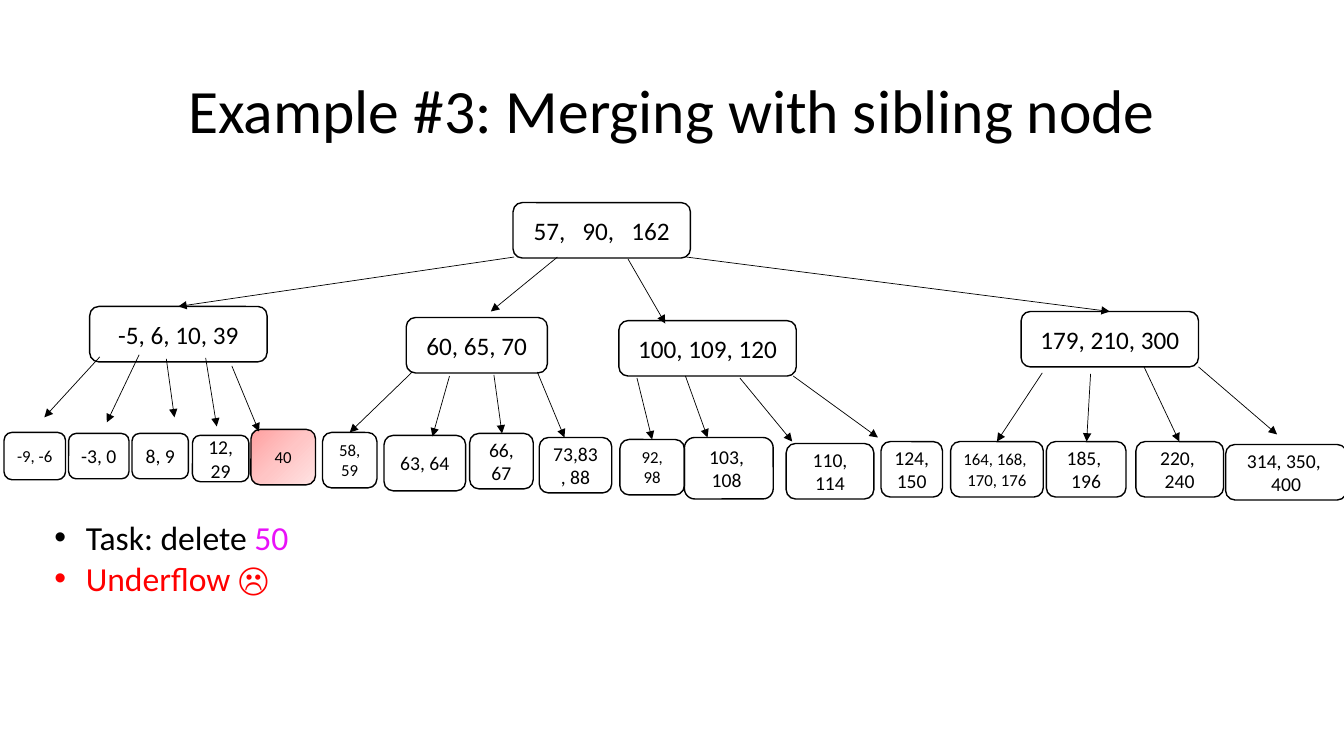
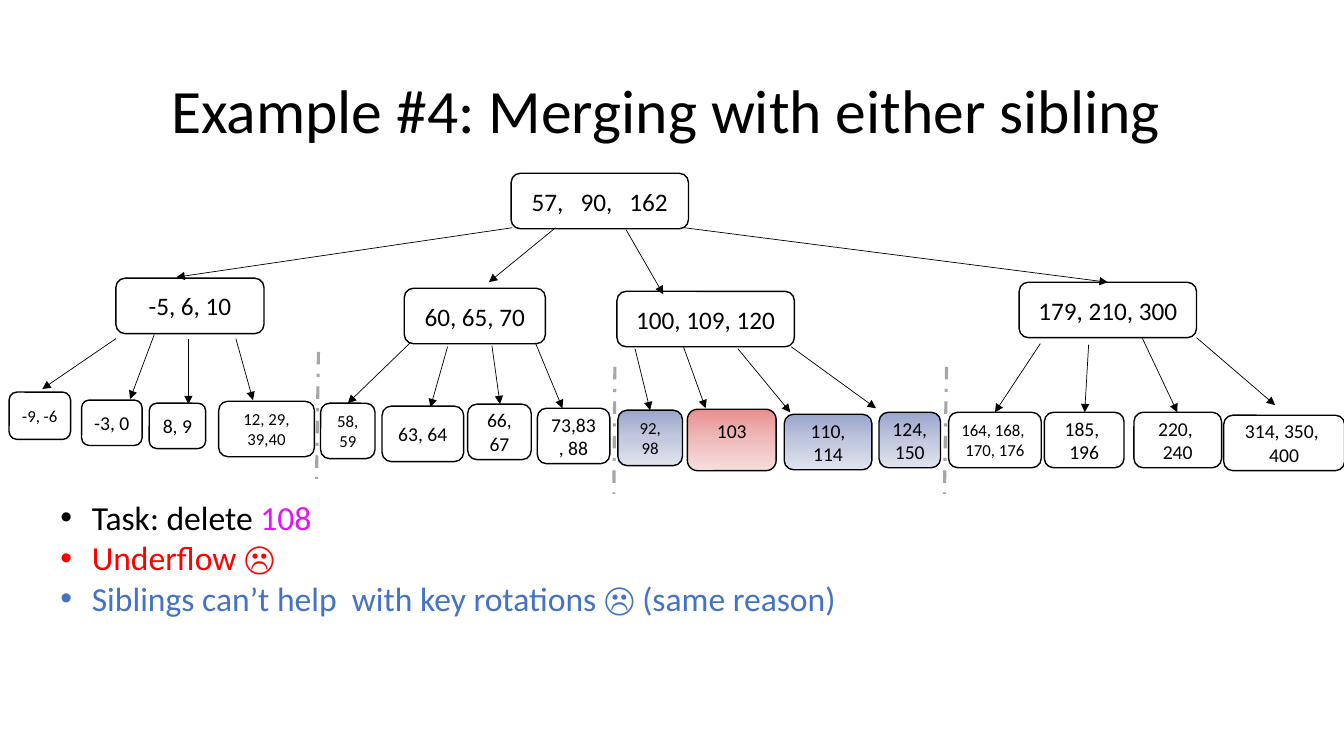
from pptx import Presentation
from pptx.dml.color import RGBColor
from pptx.enum.dml import MSO_LINE
from pptx.enum.shapes import MSO_CONNECTOR, MSO_SHAPE
from pptx.enum.text import MSO_ANCHOR as Anchor, PP_ALIGN as Align
from pptx.oxml import parse_xml
from pptx.oxml.ns import nsdecls, qn
from pptx.util import Pt

FONT = "Calibri"
BLACK, MAGENTA, RED, BLUE, GRAY = "000000", "E911F9", "FF0000", "4472C4", "A6A6A6"
NODE_HEIGHT = 39.6
INDENT = 22.5

# Gradients: angle in degrees, then evenly spaced colours
PINK = (45, ("FFA0A0", "FFC5C5", "FFE3E3"))
ROSE = (90, ("E98F8F", "EFBCBC", "F7DEDE"))
LAVENDER = (90, ("99A5CC", "C2C8DE", "E1E4EE"))

# Nodes: keys, left, top, width, text size, height (optional)
SHARED_NODES = [
    ("57,   90,   162", 366.5, 144.7, 126.7, 18),
    ("60, 65, 70", 290.2, 226.8, 100.8, 18),
    ("100, 109, 120", 442.1, 229, 126.7, 18),
    ("179, 210, 300", 729.4, 222.5, 126.7, 18),
    ("58, 59", 230.4, 308.9, 38.9, 12),
    ("63, 64", 274.3, 311, 58.3, 14),
    ("66, 67", 335.5, 309.6, 45.4, 14),
    ("73,83, 88", 385.2, 312.5, 51.8, 14),
    ("92, 98", 442.8, 313.9, 46.1, 12),
    ("110, 114", 561.6, 316.8, 62.6, 14),
    ("124, 150", 629.3, 315.4, 43.9, 14),
    ("164, 168, \n170, 176", 679, 315.4, 66.2, 12),
    ("185, \n196", 747.4, 315.4, 56.9, 14),
    ("220, \n240", 811.4, 315.4, 62.6, 14),
    ("314, 350, \n400", 875.5, 317.5, 86.4, 14),
]

# Arrows: from x, from y, to x, to y
SHARED_ARROWS = [
    # from the root
    (367.2, 183.6, 127.4, 218.9), (398.2, 183.6, 350.6, 222.5),
    (448.6, 185, 475.2, 231.1), (490.3, 183.6, 792.7, 222.5),
    # from 60, 65, 70
    (294.5, 265.7, 249.8, 308.9), (321.1, 268.6, 308.9, 311.8),
    (352.8, 267.8, 358.6, 309.6), (383.8, 265.7, 403.2, 312.5),
    # from 100, 109, 120
    (455, 270, 465.8, 313.9), (489.6, 268.6, 505.4, 312.5),
    (528.5, 270, 565.9, 315.4), (566.6, 268.6, 627.1, 312.5),
    # from 179, 210, 300
    (744.5, 266.4, 712.1, 315.4), (779, 267.1, 776.2, 315.4),
    (817.2, 262.1, 842.4, 315.4), (856.1, 262.1, 912.2, 310.3),
]

SLIDES = [
    {
        "title": "Example #3: Merging with sibling node",
        "title_box": (66.2, 28.8, 828, 104.4),
        "shift": (0, 0),
        "nodes": [
            ("-5, 6, 10, 39", 64.1, 218.9, 126.7, 18),
            ("-9, -6", 2.9, 308.9, 43.9, 12, 33.8),
            ("-3, 0", 49, 309.6, 43.2, 14, 32.4),
            ("8, 9", 94.3, 309.6, 40.3, 14, 32.4),
            ("12, 29", 137.5, 311, 40.3, 14, 33.1),
            ("40", 179.3, 306.7, 46.1, 12),
            ("103, \n108 ", 488.9, 312.5, 63.4, 14, 43.9),
        ],
        "arrows": [
            (71.3, 254.9, 31.7, 298.1), (99.4, 253.4, 76.3, 301.7),
            (118.8, 256.3, 124.6, 298.1), (146.9, 255.6, 154.8, 304.6),
            (165.6, 261.4, 185, 308.2),
        ],
        "fills": {"40": PINK},
        "top_anchored": (),
        "separators": [],
        "bullets_box": (31.7, 365.8, 795.6, 65.5),
        "bullets": [
            [("Task: delete ", BLACK), ("50", MAGENTA)],
            [("Underflow ☹", RED)],
        ],
    },
    {
        "title": "Example #4: Merging with either sibling",
        "title_box": (21.6, 28.8, 908.6, 104.4),
        "shift": (-1.4, -20.9),
        "nodes": [
            ("-5, 6, 10", 82.8, 198.7, 105.8, 18),
            ("-9, -6", 6.5, 280.1, 43.9, 12, 33.8),
            ("-3, 0", 58.3, 285.8, 43.2, 14, 32.4),
            ("8, 9", 106.6, 288, 40.3, 14, 32.4),
            ("12, 29, 39,40", 156.2, 286.6, 68.4, 12),
            ("103", 491, 292.3, 63.4, 14, 43.9),
        ],
        "arrows": [
            (82.8, 241.9, 30.2, 277.9), (110.2, 239, 92.9, 285.1),
            (134.6, 241.9, 134.6, 288.7), (168.5, 241.9, 180.7, 285.8),
        ],
        "fills": {"103": ROSE, "92, 98": LAVENDER, "110, 114": LAVENDER,
                  "124, 150": LAVENDER},
        "top_anchored": ("103",),
        "separators": [
            (227.5, 251.3, 226.1, 342), (439.2, 262.1, 438.5, 352.8),
            (676.1, 262.1, 674.6, 352.8),
        ],
        "bullets_box": (36, 351.4, 864, 123.8),
        "bullets": [
            [("Task: delete ", BLACK), ("108", MAGENTA)],
            [("Underflow ☹", RED)],
            [("Siblings can’t help  with key rotations ☹ (same reason)", BLUE)],
        ],
    },
]


def color(hex_value):
    return RGBColor.from_string(hex_value)


def set_attributes(target, **values):
    for name, value in values.items():
        setattr(target, name, value)


def add_run(paragraph, text, size, hex_value=BLACK):
    run = paragraph.add_run()
    run.text = text
    set_attributes(run.font, name=FONT, size=Pt(size))
    run.font.color.rgb = color(hex_value)


def add_text_box(slide, box, anchor):
    frame = slide.shapes.add_textbox(*map(Pt, box)).text_frame
    set_attributes(frame, word_wrap=True, vertical_anchor=anchor)
    return frame


def set_gradient(shape, angle, colors):
    step = 100000 // (len(colors) - 1)
    stops = "".join(
        f'<a:gs pos="{index * step}"><a:srgbClr val="{value}"/></a:gs>'
        for index, value in enumerate(colors))
    gradient = parse_xml(
        f'<a:gradFill {nsdecls("a")} rotWithShape="1"><a:gsLst>{stops}</a:gsLst>'
        f'<a:lin ang="{angle * 60000}" scaled="0"/></a:gradFill>')
    properties = shape.element.spPr
    properties.replace(properties.find(qn("a:noFill")), gradient)


def add_node(slide, keys, left, top, width, size, height=NODE_HEIGHT,
             gradient=None, top_anchored=False):
    shape = slide.shapes.add_shape(
        MSO_SHAPE.ROUNDED_RECTANGLE, *map(Pt, (left, top, width, height)))
    shape.shadow.inherit = False
    shape.fill.background()
    if gradient:
        set_gradient(shape, *gradient)
    shape.line.color.rgb = color(BLACK)
    shape.line.width = Pt(1)
    frame = shape.text_frame
    set_attributes(frame, word_wrap=True, vertical_anchor=Anchor.MIDDLE)
    if top_anchored:
        set_attributes(frame, vertical_anchor=Anchor.TOP, margin_top=Pt(5))
    paragraph = frame.paragraphs[0]
    paragraph.alignment = Align.CENTER
    for index, line in enumerate(keys.split("\n")):
        if index:
            paragraph.add_line_break()
        add_run(paragraph, line, size)


def add_line(slide, ends, hex_value, width, arrow=False, dash=None):
    connector = slide.shapes.add_connector(MSO_CONNECTOR.STRAIGHT, *map(Pt, ends))
    connector.line.color.rgb = color(hex_value)
    connector.line.width = Pt(width)
    if dash:
        connector.line.dash_style = dash
    if arrow:
        connector.line._get_or_add_ln().append(
            parse_xml(f'<a:tailEnd {nsdecls("a")} type="triangle"/>'))
    connector.element.spPr.append(parse_xml(f'<a:effectLst {nsdecls("a")}/>'))


def add_title(slide, text, box):
    paragraph = add_text_box(slide, box, Anchor.MIDDLE).paragraphs[0]
    set_attributes(paragraph, alignment=Align.CENTER, line_spacing=0.9)
    add_run(paragraph, text, 44)


def add_bullets(slide, bullets, box):
    frame = add_text_box(slide, box, Anchor.TOP)
    for index, runs in enumerate(bullets):
        paragraph = frame.add_paragraph() if index else frame.paragraphs[0]
        properties = paragraph._p.get_or_add_pPr()
        properties.set("marL", str(Pt(INDENT)))
        properties.set("indent", str(-Pt(INDENT)))
        properties.append(parse_xml(f'<a:buFont {nsdecls("a")} typeface="Arial"/>'))
        properties.append(parse_xml(f'<a:buChar {nsdecls("a")} char="•"/>'))
        for text, hex_value in runs:
            add_run(paragraph, text, 24, hex_value)


def build_slide(presentation, content):
    slide = presentation.slides.add_slide(presentation.slide_layouts[6])
    add_title(slide, content["title"], content["title_box"])

    # Shared tree, moved as a whole, plus the parts of this slide
    dx, dy = content["shift"]
    nodes = [(keys, left + dx, top + dy, *rest)
             for keys, left, top, *rest in SHARED_NODES] + content["nodes"]
    arrows = [(x1 + dx, y1 + dy, x2 + dx, y2 + dy)
              for x1, y1, x2, y2 in SHARED_ARROWS] + content["arrows"]
    for node in nodes:
        add_node(slide, *node, gradient=content["fills"].get(node[0]),
                 top_anchored=node[0] in content["top_anchored"])
    for ends in arrows:
        add_line(slide, ends, BLACK, 0.5, arrow=True)

    # Separators between subtrees
    for ends in content["separators"]:
        add_line(slide, ends, GRAY, 2.25, dash=MSO_LINE.DASH_DOT)

    add_bullets(slide, content["bullets"], content["bullets_box"])


def main():
    presentation = Presentation()
    set_attributes(presentation, slide_width=Pt(960), slide_height=Pt(540))
    for content in SLIDES:
        build_slide(presentation, content)
    presentation.save("out.pptx")


if __name__ == "__main__":
    main()
